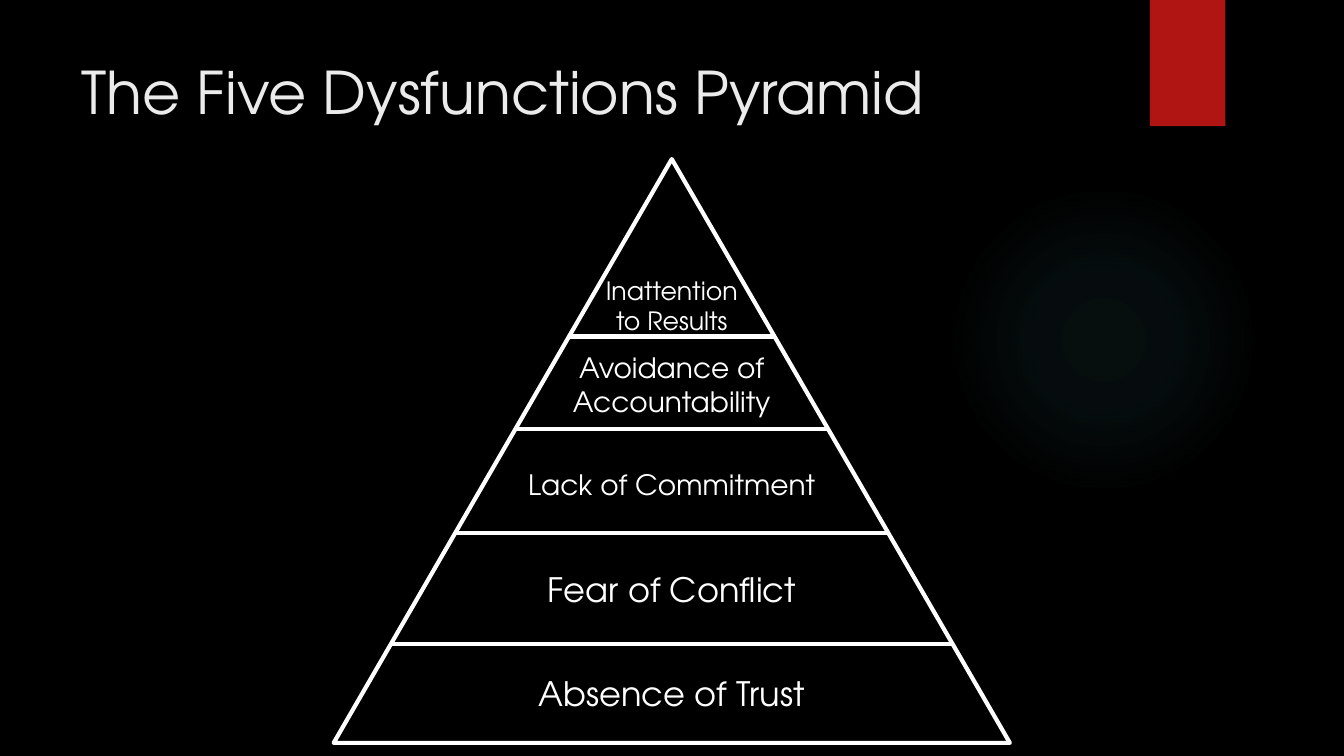
from lxml import etree
from pptx import Presentation
from pptx.dml.color import RGBColor
from pptx.enum.shapes import MSO_CONNECTOR, MSO_SHAPE
from pptx.enum.text import MSO_ANCHOR, PP_ALIGN
from pptx.oxml import parse_xml
from pptx.oxml.ns import nsdecls, qn
from pptx.util import Cm, Pt

FONT = "TeX Gyre Adventor"
WHITE = "FFFFFF"
CENTER, APEX, BASE, HALF_BASE = 16.93, 4.01, 18.72, 8.52
DIVIDERS = [8.48, 10.82, 13.44, 16.23]
# lines, top, width, height, font size, wrap
LABELS = [
    (["Inattention", "to Results"], 6.81, 6.15, 1.8, 18, True),
    (["Avoidance of Accountability"], 8.71, 6.15, 1.96, 20, True),
    (["Lack of Commitment"], 11.66, 7.8, 1.12, 20, False),
    (["Fear of Conflict"], 14.22, 6.86, 1.27, 24, False),
    (["Absence of Trust"], 16.84, 7.32, 1.27, 24, False),
]
GLOW_STOPS = [(0, 7), (36, 6), (69, 0)]  # position and opacity in percent


def color(value):
    return RGBColor.from_string(value)


def style(paragraph, size, text_color, alignment):
    paragraph.alignment = alignment
    paragraph.font.name = FONT
    paragraph.font.size = Pt(size)
    paragraph.font.color.rgb = color(text_color)


presentation = Presentation()
presentation.slide_width = Cm(33.87)
presentation.slide_height = Cm(19.05)
slide = presentation.slides.add_slide(presentation.slide_layouts[5])
shapes = slide.shapes
slide.background.fill.solid()
slide.background.fill.fore_color.rgb = color("000000")

# Backdrop: soft glow and red tab
glow = shapes.add_shape(MSO_SHAPE.OVAL, Cm(23.9), Cm(4.65), Cm(7.82), Cm(7.82))
glow.shadow.inherit = False
glow.line.fill.background()
stops = "".join(
    f'<a:gs pos="{position * 1000}"><a:srgbClr val="50B9C1">'
    f'<a:alpha val="{opacity * 1000}"/></a:srgbClr></a:gs>'
    for position, opacity in GLOW_STOPS
)
gradient = parse_xml(
    f'<a:gradFill {nsdecls("a")} rotWithShape="1"><a:gsLst>{stops}</a:gsLst>'
    '<a:path path="circle"><a:fillToRect l="50000" t="50000" r="50000" b="50000"/></a:path>'
    "</a:gradFill>"
)
glow.element.spPr.find(qn("a:prstGeom")).addnext(gradient)

tab = shapes.add_shape(MSO_SHAPE.RECTANGLE, Cm(28.98), 0, Cm(1.9), Cm(3.18))
tab.shadow.inherit = False
tab.fill.solid()
tab.fill.fore_color.rgb = color("B01513")
tab.line.fill.background()

# Title
title = shapes.title
title.left, title.top, title.width, title.height = Cm(1.8), Cm(1.27), Cm(26.14), Cm(3.89)
title.text_frame.text = "The Five Dysfunctions Pyramid"
title.text_frame.vertical_anchor = MSO_ANCHOR.TOP
style(title.text_frame.paragraphs[0], 42, "EBEBEB", PP_ALIGN.LEFT)

# Pyramid outline and the dividers, which end on its sides
pyramid = shapes.add_shape(
    MSO_SHAPE.ISOSCELES_TRIANGLE,
    Cm(CENTER - HALF_BASE), Cm(APEX), Cm(2 * HALF_BASE), Cm(BASE - APEX),
)
pyramid.shadow.inherit = False
pyramid.fill.background()
pyramid.line.color.rgb = color(WHITE)
pyramid.line.width = Pt(3)

for y in DIVIDERS:
    reach = HALF_BASE * (y - APEX) / (BASE - APEX)
    divider = shapes.add_connector(
        MSO_CONNECTOR.STRAIGHT, Cm(CENTER - reach), Cm(y), Cm(CENTER + reach), Cm(y)
    )
    divider.line.color.rgb = color(WHITE)
    divider.line.width = Pt(3)
    etree.SubElement(divider.element.spPr, qn("a:effectLst"))

# Level labels
for lines, top, width, height, size, wrap in LABELS:
    label = shapes.add_textbox(Cm(CENTER - width / 2), Cm(top), Cm(width), Cm(height))
    frame = label.text_frame
    frame.word_wrap = wrap
    frame.text = "\n".join(lines)
    for paragraph in frame.paragraphs:
        style(paragraph, size, WHITE, PP_ALIGN.CENTER)

presentation.save("out.pptx")
